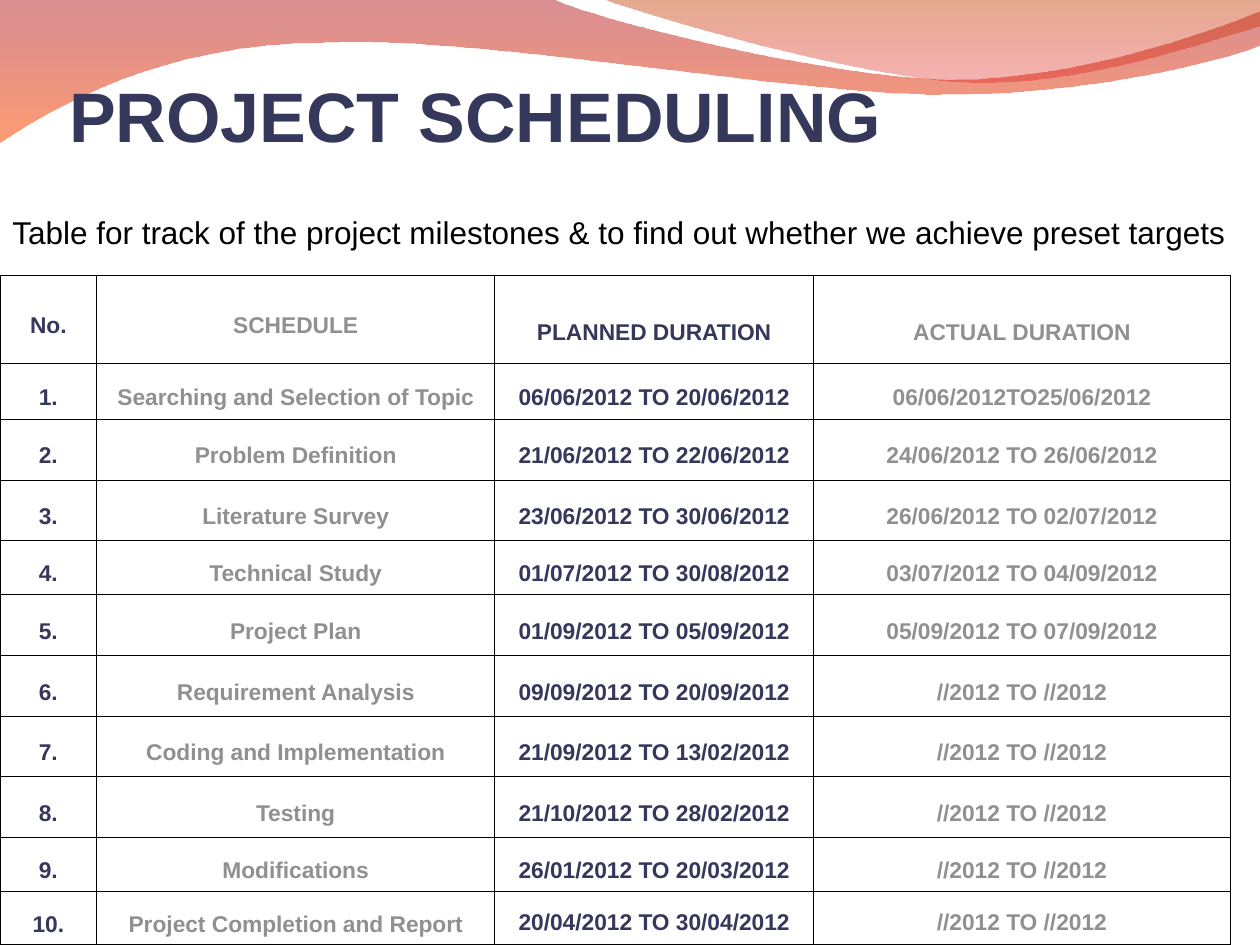
"""Build the project scheduling slide with its wave banner and milestone table."""
import pptx
import pptx.dml.color
import pptx.enum.text
import pptx.oxml
import pptx.oxml.ns
import pptx.util

Pt = pptx.util.Pt
Anchor = pptx.enum.text.MSO_ANCHOR
Align = pptx.enum.text.PP_ALIGN
COLORS = {
    "navy": "35385A", "grey": "909090", "black": "000000",
    "crimson": "AE060E", "orange": "FF4A00", "rust": "C44000", "red": "E10004",
}


def write(paragraph, text, size, color, bold=False):
    span = paragraph.add_run()
    span.text = text
    span.font.name = "Arial"
    span.font.size = Pt(size)
    span.font.bold = bold
    span.font.color.rgb = pptx.dml.color.RGBColor.from_string(COLORS[color])


def element(tag, attributes="", content=""):
    return pptx.oxml.parse_xml(
        f'<a:{tag} {pptx.oxml.ns.nsdecls("a")} {attributes}>{content}</a:{tag}>')


deck = pptx.Presentation()
deck.slide_width, deck.slide_height = Pt(720), Pt(540)
page = deck.slides.add_slide(deck.slide_layouts[5])

wide_wave = [
    [(0, 0)], [(316.8, 0)],
    [(342.7, 12.2), (478.1, 45.4), (545.8, 45.4)],
    [(614.2, 45.4), (689.8, 18.7), (720, 6.5)],
    [(720, 25.9)],
    [(707.8, 31.7), (626.4, 54.7), (537.1, 54)],
    [(447.8, 54), (275, 20.2), (185, 24.5)],
    [(92.9, 25.2), (33.1, 59.8), (0, 81.4)],
]
right_wave = [
    [(344.9, 0)],
    [(366.5, 7.9), (491, 44.6), (553.7, 46.8)],
    [(616.3, 49.7), (691.9, 23), (720, 15.1)],
    [(720, 0)],
]
waves = [
    (wide_wave, [("crimson", 45), ("orange", 55)]),
    (right_wave, [("rust", 45), ("red", 30)]),
]
for order, (segments, stops) in enumerate(waves):
    points = [(Pt(x), Pt(y)) for segment in segments for x, y in segment]
    builder = page.shapes.build_freeform(*points[0], scale=1.0)
    builder.add_line_segments(points[1:], close=True)
    wave = builder.convert_to_shape()
    lines = iter(list(wave._element.iter(pptx.oxml.ns.qn("a:lnTo"))))
    for segment in segments[1:]:
        steps = [next(lines) for point in segment]
        if len(steps) == 3:
            curve = element("cubicBezTo")
            steps[0].addprevious(curve)
            for step in steps:
                curve.append(step[0])
                step.getparent().remove(step)
    wave.shadow.inherit = False
    wave.line.fill.background()
    wave.fill.gradient()
    wave.fill.gradient_angle = 270
    for stop, (color, opacity) in zip(wave.fill.gradient_stops, stops):
        stop.color.rgb = pptx.dml.color.RGBColor.from_string(COLORS[color])
    tints = list(wave._element.spPr.iter(pptx.oxml.ns.qn("a:srgbClr")))
    for tint, (color, opacity) in zip(tints, stops):
        tint.append(element("alpha", f'val="{opacity * 1000}"'))
    page.shapes._spTree.insert(2 + order, wave._element)

title = page.shapes.title
title.left, title.top, title.width, title.height = Pt(39.6), Pt(33.84), Pt(648), Pt(55.44)
frame = title.text_frame
frame.auto_size = pptx.enum.text.MSO_AUTO_SIZE.NONE
frame.vertical_anchor = Anchor.BOTTOM
frame.margin_left = frame.margin_right = frame.margin_bottom = 0
frame.margin_top = Pt(3.6)
frame.paragraphs[0].alignment = Align.LEFT
write(frame.paragraphs[0], "PROJECT SCHEDULING", 40, "navy", True)

box = page.shapes.add_textbox(Pt(0), Pt(118.1), Pt(720), Pt(28.8))
box.text_frame.word_wrap = True
write(box.text_frame.paragraphs[0],
      "Table for track of the project milestones & to find out whether we achieve preset targets",
      18, "black")

undone = "//2012 TO //2012"
milestones = [
    ("Searching and Selection of Topic", "06/06/2012 TO 20/06/2012", "06/06/2012TO25/06/2012"),
    ("Problem Definition", "21/06/2012 TO 22/06/2012", "24/06/2012 TO 26/06/2012"),
    ("Literature Survey", "23/06/2012 TO 30/06/2012", "26/06/2012 TO 02/07/2012"),
    ("Technical Study", "01/07/2012 TO 30/08/2012", "03/07/2012 TO 04/09/2012"),
    ("Project Plan", "01/09/2012 TO 05/09/2012", "05/09/2012 TO 07/09/2012"),
    ("Requirement Analysis", "09/09/2012 TO 20/09/2012", undone),
    ("Coding and Implementation", "21/09/2012 TO 13/02/2012", undone),
    ("Testing", "21/10/2012 TO 28/02/2012", undone),
    ("Modifications", "26/01/2012 TO 20/03/2012", undone),
    ("Project Completion and Report", "20/04/2012 TO 30/04/2012", undone),
]
rows = [("No.", "SCHEDULE", "PLANNED DURATION", "ACTUAL DURATION")]
rows += [(f"{number}.", *milestone) for number, milestone in enumerate(milestones, 1)]
widths = [55.2, 227.4, 182.2, 238.2]
heights = [50, 32.2, 34.8, 34.4, 31, 34.8, 34.8, 34.4, 34.8, 30.8, 30]

holder = page.shapes.add_table(len(rows), len(widths), Pt(0), Pt(157.4), Pt(sum(widths)), Pt(sum(heights)))
table = holder.table
table.first_row = table.horz_banding = False
for column, width in zip(table.columns, widths):
    column.width = Pt(width)
for row, height in zip(table.rows, heights):
    row.height = Pt(height)

border = f'<a:solidFill><a:srgbClr val="{COLORS["black"]}"/></a:solidFill>'
for row_index, texts in enumerate(rows):
    for column_index, text in enumerate(texts):
        cell = table.cell(row_index, column_index)
        duration = column_index >= 2
        last = row_index == len(rows) - 1
        cell.vertical_anchor = Anchor.TOP if duration and last else Anchor.MIDDLE
        cell.margin_left = cell.margin_right = Pt(2.2)
        cell.margin_top = Pt(11.6 if duration and row_index == 0 else 3.6)
        cell.margin_bottom = Pt(3.6)
        paragraph = cell.text_frame.paragraphs[0]
        paragraph.alignment = Align.CENTER
        paragraph.line_spacing = 1.5
        write(paragraph, text, 13, "grey" if column_index % 2 else "navy", True)
        properties = cell._tc.get_or_add_tcPr()
        for side in "LRTB":
            properties.append(element(f"ln{side}", f'w="{Pt(0.45)}"', border))
        cell.fill.background()

deck.save("out.pptx")
